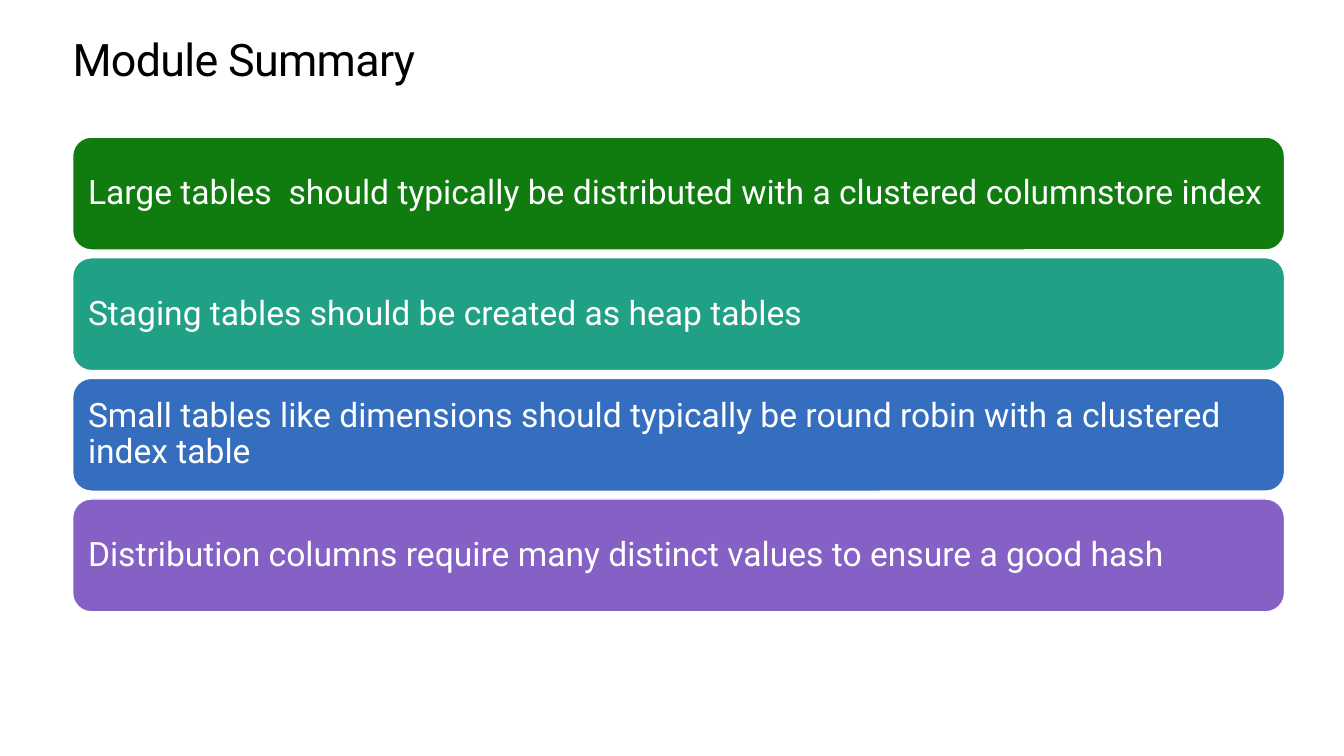
"""Build the module summary slide with four stacked colour bars."""
import pptx
import pptx.dml.color
import pptx.enum.shapes
import pptx.enum.text
import pptx.util

RGB = pptx.dml.color.RGBColor
ANCHOR = pptx.enum.text.MSO_ANCHOR
WHITE = RGB(0xFF, 0xFF, 0xFF)
BLACK = RGB(0x00, 0x00, 0x00)
GREEN = RGB(0x10, 0x7C, 0x10)
TEAL = RGB(0x20, 0xA0, 0x85)
BLUE = RGB(0x35, 0x6E, 0xBE)
PURPLE = RGB(0x86, 0x61, 0xC5)

TITLE = "Module Summary"
POINTS = [
    ("Large tables  should typically be distributed with a clustered columnstore index", GREEN),
    ("Staging tables should be created as heap tables", TEAL),
    ("Small tables like dimensions should typically be round robin with a clustered index table", BLUE),
    ("Distribution columns require many distinct values to ensure a good hash", PURPLE),
]

SCALE = 9144
SLIDE_W, SLIDE_H = 1333, 750
LEFT, BAR_W, BAR_H = 72, 1202, 112
FIRST, LAST = 136, 495
STEP = (LAST - FIRST) / (len(POINTS) - 1)
TITLE_BOX = (LEFT, 35, 1190, 50)


def emu(px):
    """Turn px into EMU."""
    return pptx.util.Emu(round(px * SCALE))


def write(shape, text, size, color, inset, anchor, spacing):
    """Put one styled line of text in a shape."""
    frame = shape.text_frame
    sides = ("margin_left", "margin_top", "margin_right", "margin_bottom")
    look = dict.fromkeys(sides, emu(inset))
    look.update(word_wrap=True, vertical_anchor=anchor)
    para = frame.paragraphs[0]
    run = para.add_run()
    run.text = text
    flow = {"alignment": pptx.enum.text.PP_ALIGN.LEFT, "line_spacing": spacing}
    font = {"name": "Roboto", "size": pptx.util.Pt(size)}
    for part, values in ((frame, look), (para, flow), (run.font, font)):
        for name, value in values.items():
            setattr(part, name, value)
    run.font.color.rgb = color
    return run


def main():
    """Draw the slide and save it."""
    deck = pptx.Presentation()
    deck.slide_width, deck.slide_height = emu(SLIDE_W), emu(SLIDE_H)
    shapes = deck.slides.add_slide(deck.slide_layouts[6]).shapes

    title = shapes.add_textbox(*map(emu, TITLE_BOX))
    run = write(title, TITLE, 32, BLACK, 0, ANCHOR.TOP, pptx.util.Pt(36.2))
    run.font._element.set("spc", "-50")

    for row, (text, color) in enumerate(POINTS):
        place = (LEFT, FIRST + row * STEP, BAR_W, BAR_H)
        bar = shapes.add_shape(
            pptx.enum.shapes.MSO_SHAPE.ROUNDED_RECTANGLE, *map(emu, place))
        bar.shadow.inherit = False
        bar.fill.solid()
        bar.fill.fore_color.rgb = color
        bar.line.color.rgb = WHITE
        bar.line.width = pptx.util.Pt(1)
        write(bar, text, 24, WHITE, 10, ANCHOR.MIDDLE, 0.9)

    deck.save("out.pptx")


if __name__ == "__main__":
    main()
